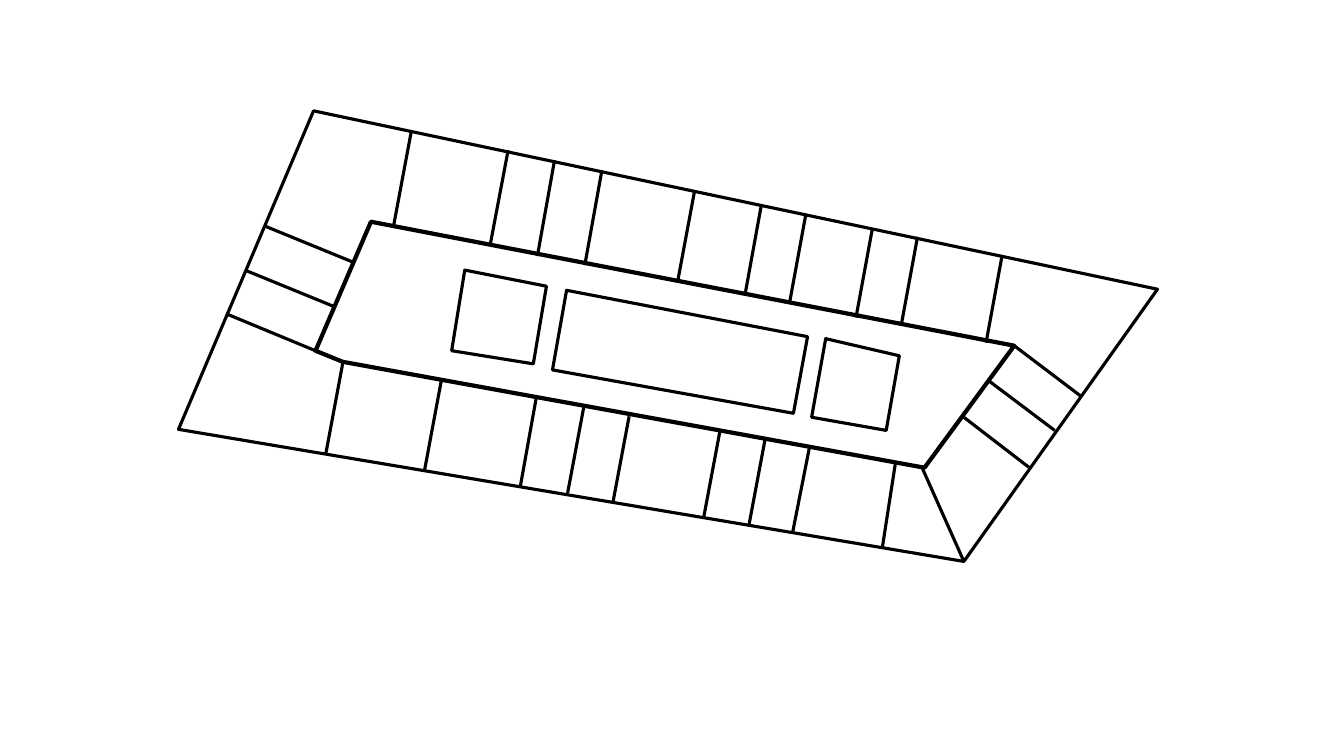
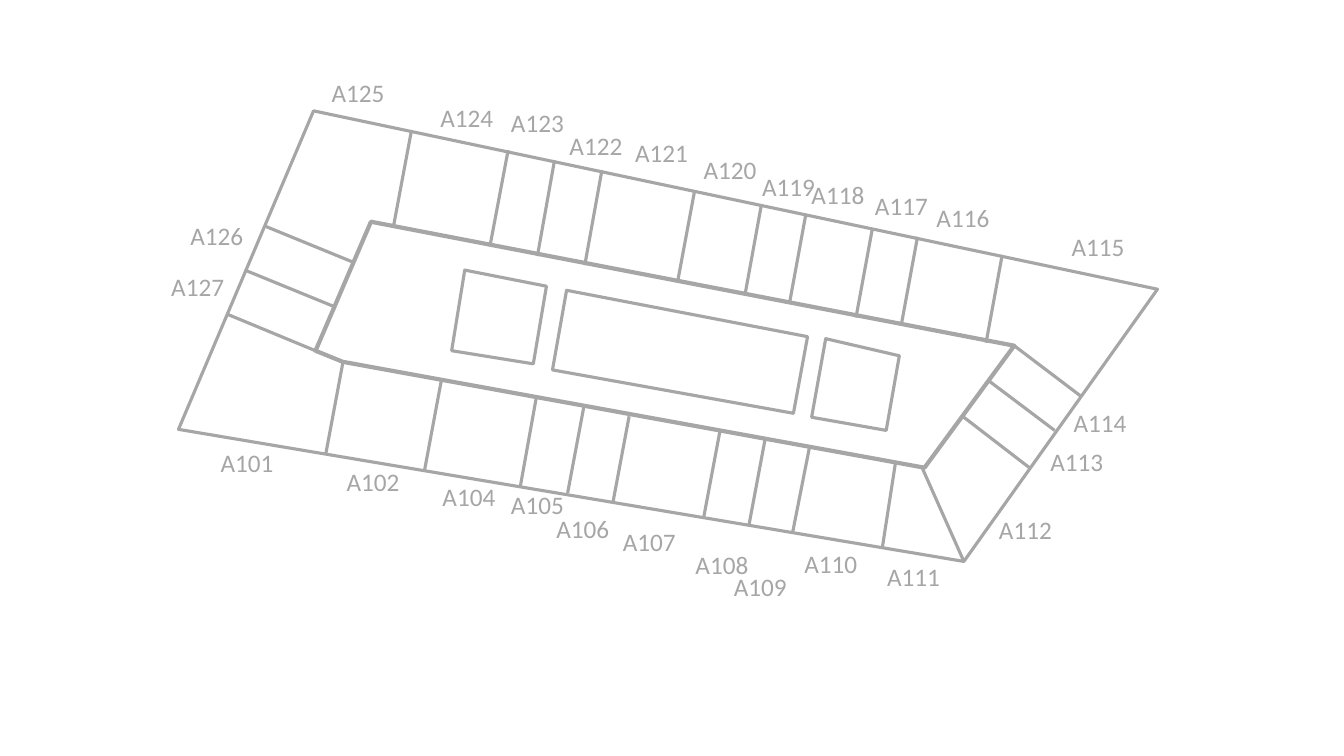
from lxml import etree
from pptx import Presentation
from pptx.dml.color import RGBColor
from pptx.enum.shapes import MSO_CONNECTOR
from pptx.enum.text import MSO_AUTO_SIZE
from pptx.oxml.ns import qn
from pptx.util import Inches, Pt

STRAIGHT = MSO_CONNECTOR.STRAIGHT
GROW_TO_TEXT = MSO_AUTO_SIZE.SHAPE_TO_FIT_TEXT

COLORS = {"ink": "000000", "muted": "A6A6A6"}
FONT = "Calibri"
LABEL_SIZE = 18
LABEL_WIDTH, LABEL_HEIGHT = 0.73, 0.4
THIN, THICK = 2.25, 3

OUTER_WALL = [(3.11, 1.1), (1.77, 4.26), (9.56, 5.57), (11.48, 2.87)]
INNER_WALL = [(3.68, 2.2), (3.13, 3.48), (3.4, 3.59), (9.17, 4.64), (10.06, 3.43)]

COURTYARDS = [
    [(4.61, 2.68), (4.48, 3.48), (5.29, 3.61), (5.42, 2.84)],
    [(5.62, 2.88), (5.48, 3.67), (7.87, 4.1), (8.01, 3.34)],
    [(8.19, 3.36), (8.05, 4.14), (8.79, 4.27), (8.92, 3.53)],
]

NORTH_PARTITIONS = [
    (4.08, 1.3, 3.9, 2.26),
    (5.04, 1.49, 4.86, 2.44),
    (5.5, 1.59, 5.33, 2.54),
    (5.97, 1.69, 5.8, 2.63),
    (6.89, 1.89, 6.72, 2.8),
    (7.55, 2.04, 7.39, 2.92),
    (7.99, 2.14, 7.83, 3.01),
    (8.65, 2.28, 8.49, 3.15),
    (9.1, 2.35, 8.94, 3.22),
    (9.94, 2.53, 9.78, 3.4),
]
EAST_PARTITIONS = [
    (10.06, 3.43, 10.72, 3.93),
    (9.81, 3.78, 10.46, 4.27),
    (9.56, 4.14, 10.21, 4.64),
    (9.15, 4.65, 9.56, 5.57),
]
SOUTH_PARTITIONS = [
    (8.88, 4.6, 8.75, 5.44),
    (8.03, 4.43, 7.86, 5.29),
    (7.59, 4.35, 7.43, 5.2),
    (7.14, 4.28, 6.98, 5.13),
    (6.24, 4.13, 6.08, 4.98),
    (5.79, 4.04, 5.63, 4.89),
    (5.32, 3.94, 5.16, 4.83),
    (4.38, 3.76, 4.21, 4.67),
    (3.4, 3.6, 3.23, 4.51),
]
WEST_PARTITIONS = [
    (3.13, 3.48, 2.26, 3.12),
    (3.31, 3.04, 2.43, 2.68),
    (3.5, 2.6, 2.62, 2.24),
]
PARTITIONS = NORTH_PARTITIONS + EAST_PARTITIONS + SOUTH_PARTITIONS + WEST_PARTITIONS

ROOMS = [
    ("A101", 2.09, 4.39),
    ("A102", 3.34, 4.58),
    ("A104", 4.29, 4.73),
    ("A105", 4.97, 4.81),
    ("A106", 5.42, 5.04),
    ("A107", 6.08, 5.17),
    ("A108", 6.8, 5.4),
    ("A109", 7.18, 5.62),
    ("A110", 7.88, 5.39),
    ("A111", 8.7, 5.52),
    ("A112", 9.81, 5.05),
    ("A113", 10.32, 4.38),
    ("A114", 10.55, 3.99),
    ("A115", 10.53, 2.25),
    ("A116", 9.19, 1.96),
    ("A117", 8.58, 1.84),
    ("A118", 7.95, 1.73),
    ("A119", 7.46, 1.65),
    ("A120", 6.88, 1.48),
    ("A121", 6.2, 1.31),
    ("A122", 5.55, 1.24),
    ("A123", 4.97, 1.02),
    ("A124", 4.27, 0.97),
    ("A125", 3.19, 0.72),
    ("A126", 1.79, 2.14),
    ("A127", 1.6, 2.64),
]

PLANS = [
    {"color": "ink", "rooms": []},
    {"color": "muted", "rooms": ROOMS},
]


def rgb(name):
    return RGBColor.from_string(COLORS[name])


def style_line(line, color, weight):
    line.color.rgb = rgb(color)
    line.width = Pt(weight)


def add_outline(page, corners, color, weight):
    points = [(Inches(x), Inches(y)) for x, y in corners]
    builder = page.shapes.build_freeform(*points[0])
    builder.add_line_segments(points[1:], close=True)
    outline = builder.convert_to_shape()
    outline.shadow.inherit = False
    outline.fill.background()
    style_line(outline.line, color, weight)


def add_partition(page, ends, color):
    partition = page.shapes.add_connector(STRAIGHT, *map(Inches, ends))
    style_line(partition.line, color, THIN)
    etree.SubElement(partition._element.spPr, qn("a:effectLst"))


def add_label(page, text, left, top, color):
    box = page.shapes.add_textbox(
        Inches(left), Inches(top), Inches(LABEL_WIDTH), Inches(LABEL_HEIGHT)
    )
    frame = box.text_frame
    frame.word_wrap = False
    frame.auto_size = GROW_TO_TEXT
    span = frame.paragraphs[0].add_run()
    span.text = text
    span.font.name = FONT
    span.font.size = Pt(LABEL_SIZE)
    span.font.color.rgb = rgb(color)


def add_plan(deck, color, rooms):
    page = deck.slides.add_slide(deck.slide_layouts[6])
    add_outline(page, OUTER_WALL, color, THIN)
    add_outline(page, INNER_WALL, color, THICK)
    for ends in PARTITIONS:
        add_partition(page, ends, color)
    for corners in COURTYARDS:
        add_outline(page, corners, color, THIN)
    for text, left, top in rooms:
        add_label(page, text, left, top, color)


def main():
    deck = Presentation()
    deck.slide_width = Inches(13.33)
    deck.slide_height = Inches(7.5)
    for plan in PLANS:
        add_plan(deck, **plan)
    deck.save("out.pptx")


if __name__ == "__main__":
    main()
